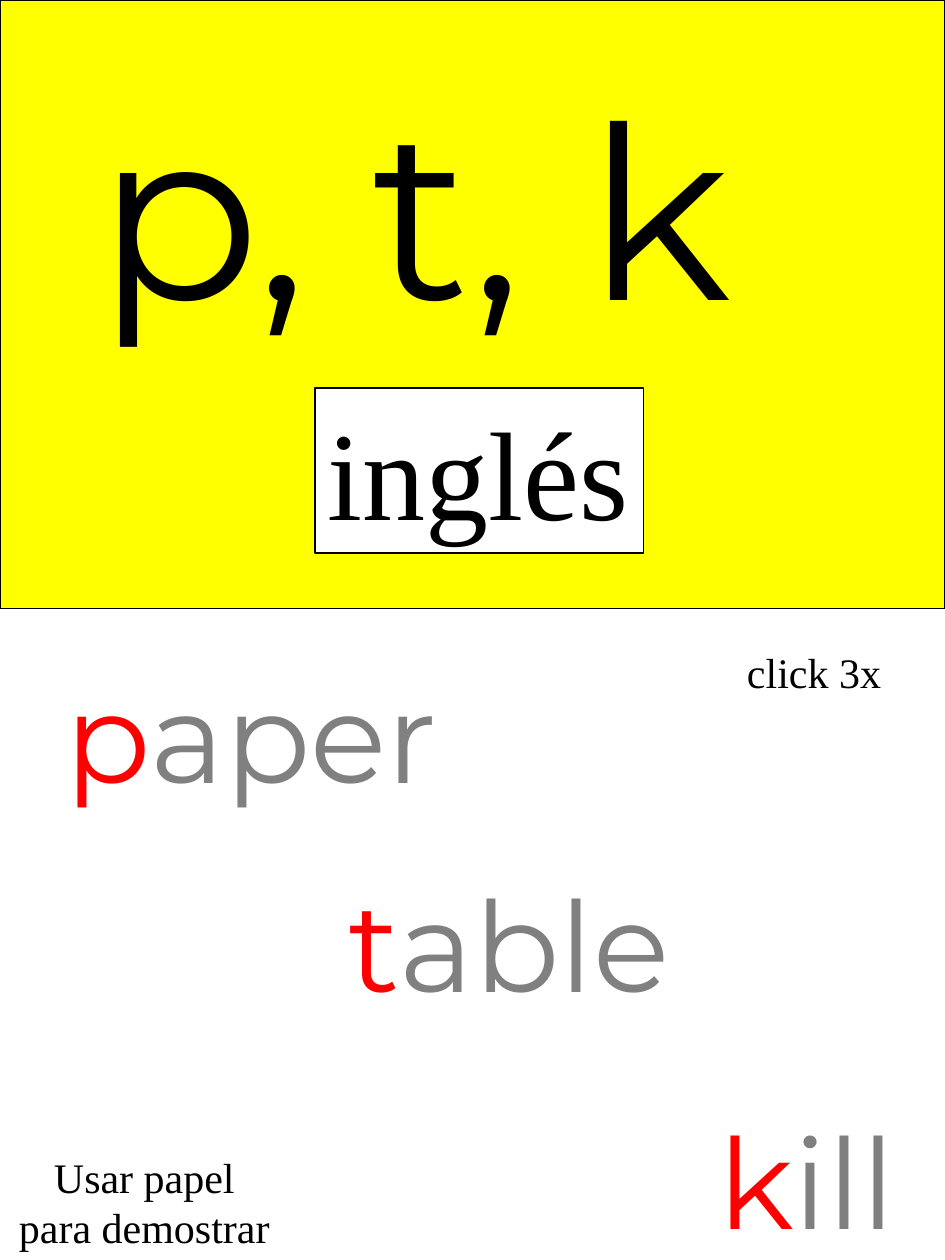
from dataclasses import dataclass
from typing import Optional

from pptx import Presentation
from pptx.dml.color import RGBColor
from pptx.enum.shapes import MSO_SHAPE
from pptx.enum.text import MSO_ANCHOR, MSO_AUTO_SIZE, PP_ALIGN
from pptx.util import Inches, Pt

RECTANGLE = MSO_SHAPE.RECTANGLE
TOP = MSO_ANCHOR.TOP
FIT_SHAPE = MSO_AUTO_SIZE.SHAPE_TO_FIT_TEXT
LEFT, CENTER = PP_ALIGN.LEFT, PP_ALIGN.CENTER

BLACK = RGBColor(0x00, 0x00, 0x00)
WHITE = RGBColor(0xFF, 0xFF, 0xFF)
YELLOW = RGBColor(0xFF, 0xFF, 0x00)
RED = RGBColor(0xFF, 0x00, 0x00)
GRAY = RGBColor(0x80, 0x80, 0x80)

SANS, SERIF = "Montserrat", "Times New Roman"
BLANK_LAYOUT = 6


@dataclass(frozen=True)
class Run:
    text: str
    color: RGBColor = BLACK


@dataclass(frozen=True)
class Label:
    """Text at left, top, width, height in inches; each line is a list of runs."""
    box: tuple[float, float, float, float]
    lines: list[list[Run]]
    font: str
    size: int
    align: PP_ALIGN = LEFT
    fill: Optional[RGBColor] = None


def example_word(box: tuple[float, float, float, float], word: str) -> Label:
    """A gray word whose first letter is red."""
    return Label(box, [[Run(word[0], RED), Run(word[1:], GRAY)]], SANS, 72)


LABELS = [
    Label((0.67, 0.42, 6.2, 2.42), [[Run("p, t, k")]], SANS, 138),
    Label((2.5, 3.08, 2.61, 1.31), [[Run("inglés")]], SERIF, 72, fill=WHITE),
    Label((0.04, 9.09, 2.21, 0.91),
          [[Run("Usar papel")], [Run("para demostrar")]], SERIF, 24, CENTER),
    example_word((0.42, 5.17, 3.37, 1.31), "paper"),
    example_word((2.67, 6.83, 3.02, 1.31), "table"),
    example_word((5.6, 8.71, 1.88, 1.31), "kill"),
    Label((5.83, 5.08, 1.28, 0.5), [[Run("click 3x")]], SERIF, 24),
]


def add_panel(slide, box: tuple[float, float, float, float], fill: RGBColor):
    """Add a filled rectangle with a thin black outline."""
    shape = slide.shapes.add_shape(RECTANGLE, *map(Inches, box))
    shape.shadow.inherit = False
    shape.fill.solid()
    shape.fill.fore_color.rgb = fill
    shape.line.color.rgb = BLACK
    shape.line.width = Pt(0.75)
    return shape


def add_label(slide, label: Label) -> None:
    if label.fill is None:
        shape = slide.shapes.add_textbox(*map(Inches, label.box))
    else:
        shape = add_panel(slide, label.box, label.fill)
    frame = shape.text_frame
    frame_format = {"word_wrap": False, "auto_size": FIT_SHAPE,
                    "vertical_anchor": TOP}
    for name, value in frame_format.items():
        setattr(frame, name, value)
    font_format = {"name": label.font, "size": Pt(label.size)}
    for index, line in enumerate(label.lines):
        paragraph = frame.add_paragraph() if index else frame.paragraphs[0]
        paragraph.alignment = label.align
        for part in line:
            run = paragraph.add_run()
            run.text = part.text
            run.font.color.rgb = part.color
            for name, value in font_format.items():
                setattr(run.font, name, value)


def main() -> None:
    presentation = Presentation()
    presentation.slide_width = Inches(7.5)
    presentation.slide_height = Inches(10)
    slide = presentation.slides.add_slide(presentation.slide_layouts[BLANK_LAYOUT])
    add_panel(slide, (0, 0, 7.5, 4.83), YELLOW)
    for label in LABELS:
        add_label(slide, label)
    presentation.save("out.pptx")


if __name__ == "__main__":
    main()
